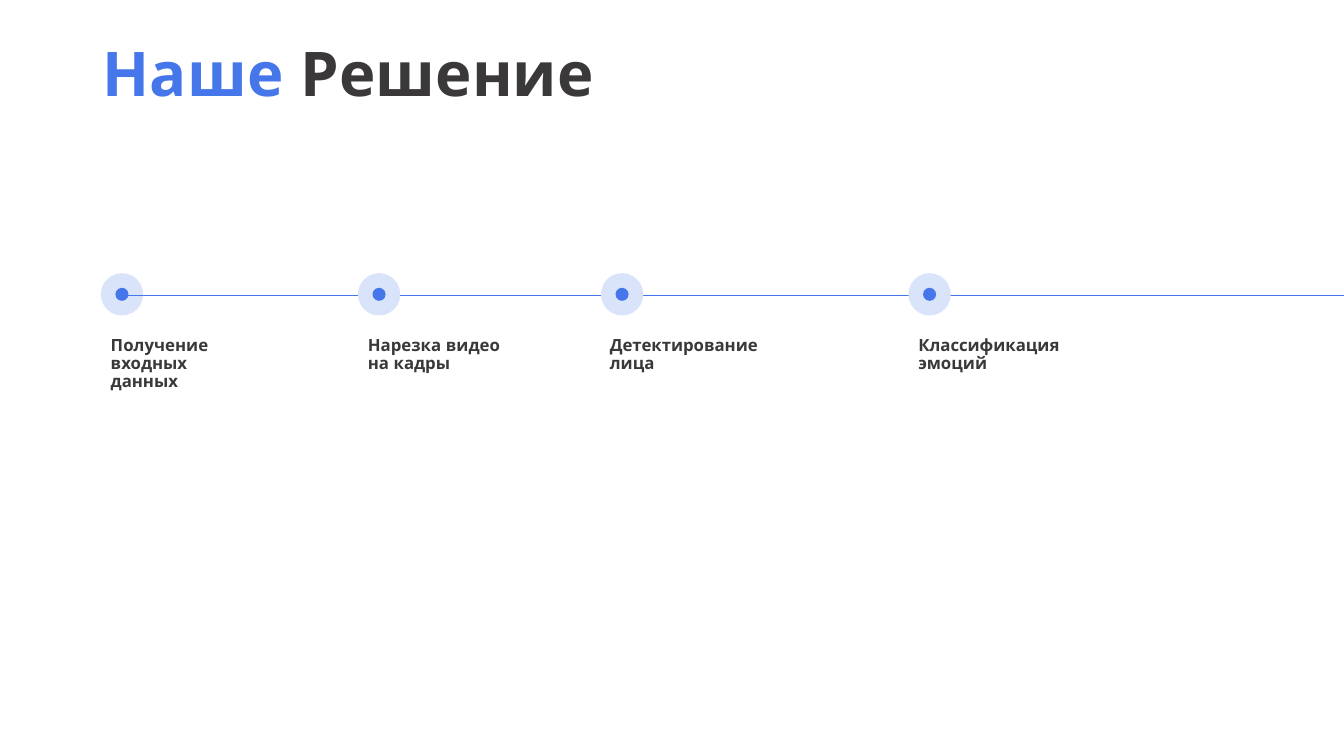
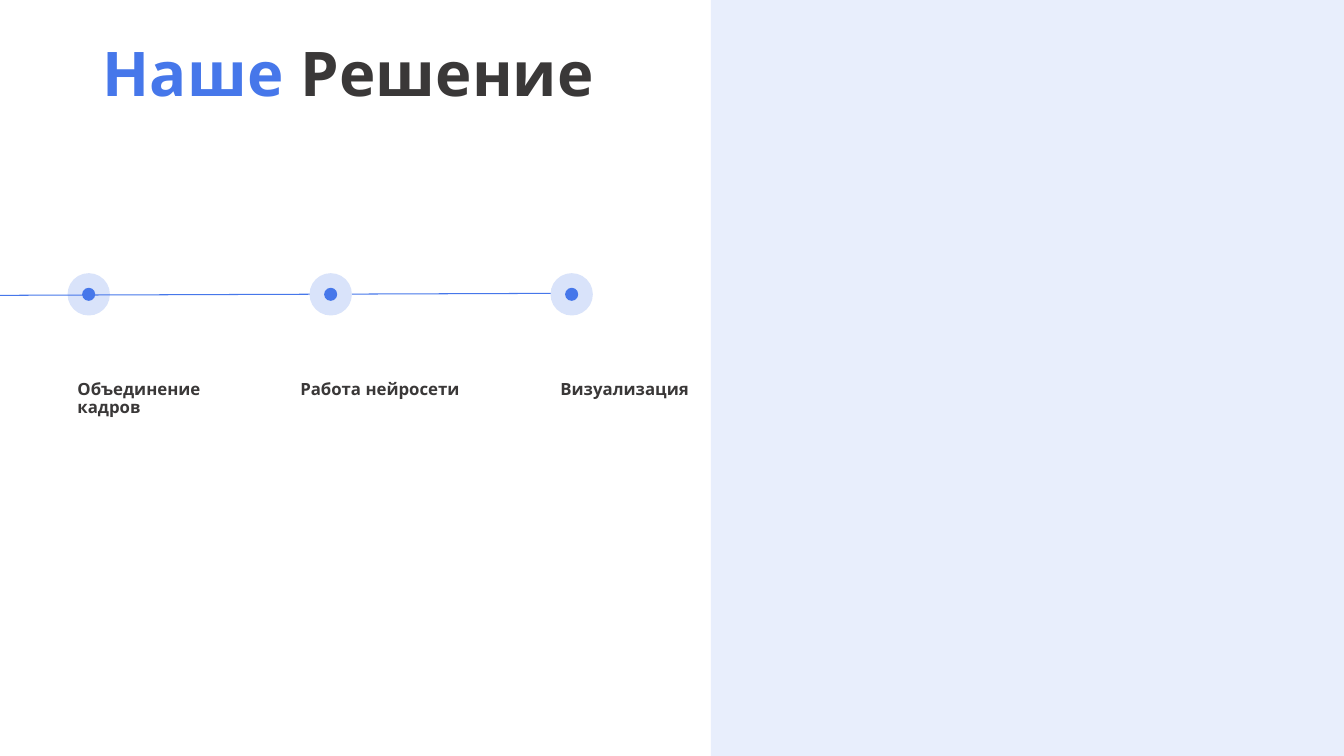
from lxml.etree import SubElement
from pptx import Presentation
from pptx.dml.color import RGBColor
from pptx.enum.shapes import MSO_CONNECTOR as Connector, MSO_SHAPE as Shape
from pptx.enum.text import MSO_ANCHOR as Anchor, PP_ALIGN as Align
from pptx.oxml.ns import qn
from pptx.util import Inches, Pt

FONT = "Quicksand"
BLUE, PALE, DARK = "4677EA", "D9E3FA", "3A3838"
RING, DOT = 0.42, 0.13
RING_TOP = 2.71
TITLE_ONLY = 5

# Each step: ring left, label left, label width, label
FIRST_STEPS = [
    (1, 1, 1.24, "Получение входных данных"),
    (3.55, 3.55, 1.72, "Нарезка видео на кадры"),
    (5.96, 5.95, 1.87, "Детектирование лица"),
    (9.01, 9.01, 1.87, "Классификация эмоций"),
]
LAST_STEPS = [
    (0.67, 0.67, 1.69, "Объединение кадров"),
    (3.07, 2.88, 2.12, "Работа нейросети"),
    (5.46, 5.46, 1.69, "Визуализация"),
]


def color(value):
    return RGBColor.from_string(value)


def add_text(para, text, size=12, fill=DARK, bold=True):
    span = para.add_run()
    span.text = text
    span.font.name = FONT
    span.font.size = Pt(size)
    span.font.bold = bold
    span.font.color.rgb = color(fill)


def add_filled(shapes, kind, left, top, width, height, fill, opacity=None):
    shape = shapes.add_shape(kind, *map(Inches, (left, top, width, height)))
    shape.shadow.inherit = False
    shape.fill.solid()
    shape.fill.fore_color.rgb = color(fill)
    shape.line.fill.background()
    if opacity is not None:
        tint = shape.fill._xPr.find(".//" + qn("a:srgbClr"))
        SubElement(tint, qn("a:alpha"), val=str(opacity * 1000))


def add_title(page):
    title = page.shapes.title
    title.left, title.top, title.width, title.height = map(
        Inches, (0.92, 0.4, 11.5, 0.71))
    frame = title.text_frame
    frame.vertical_anchor = Anchor.MIDDLE
    para = frame.paragraphs[0]
    para.alignment = Align.LEFT
    para.line_spacing = 0.9
    add_text(para, "Наше", size=44, fill=BLUE)
    add_text(para, " Решение", size=44)


def add_marker(page, left):
    """Draw a pale ring with a blue dot at its centre."""
    group = page.shapes.add_group_shape()
    inset = (RING - DOT) / 2
    add_filled(group.shapes, Shape.OVAL, left, RING_TOP, RING, RING, PALE)
    add_filled(group.shapes, Shape.OVAL, left + inset, RING_TOP + inset,
               DOT, DOT, BLUE)


def add_label(page, left, top, width, text):
    box = page.shapes.add_textbox(*map(Inches, (left, top, width, 0.8)))
    box.text_frame.word_wrap = True
    para = box.text_frame.paragraphs[0]
    para.space_before = Pt(6)
    para.line_spacing = 0.9
    add_text(para, text)


def add_axis(page, start, end):
    axis = page.shapes.add_connector(
        Connector.STRAIGHT, *map(Inches, (*start, *end)))
    axis.line.color.rgb = color(BLUE)
    axis.line.width = Pt(0.75)
    SubElement(axis._element.spPr, qn("a:effectLst"))


def add_timeline(page, steps, start, end, label_top):
    """Draw the axis over the first marker and under the others."""
    for index, (ring_left, label_left, width, text) in enumerate(steps):
        add_marker(page, ring_left)
        if index == 0:
            add_axis(page, start, end)
        add_label(page, label_left, label_top, width, text)


def add_page(deck):
    return deck.slides.add_slide(deck.slide_layouts[TITLE_ONLY])


def add_first_page(deck):
    page = add_page(deck)
    add_title(page)
    add_timeline(page, FIRST_STEPS, (1.24, 2.93), (13.33, 2.93), 3.29)


def add_last_page(deck):
    page = add_page(deck)
    add_filled(page.shapes, Shape.RECTANGLE, 7.05, 0, 6.28, 7.5, PALE, opacity=60)
    add_title(page)
    add_timeline(page, LAST_STEPS, (0, 2.93), (5.61, 2.91), 3.73)


def main():
    deck = Presentation()
    deck.slide_width, deck.slide_height = Inches(13.33), Inches(7.5)
    add_first_page(deck)
    add_last_page(deck)
    deck.save("out.pptx")


if __name__ == "__main__":
    main()
